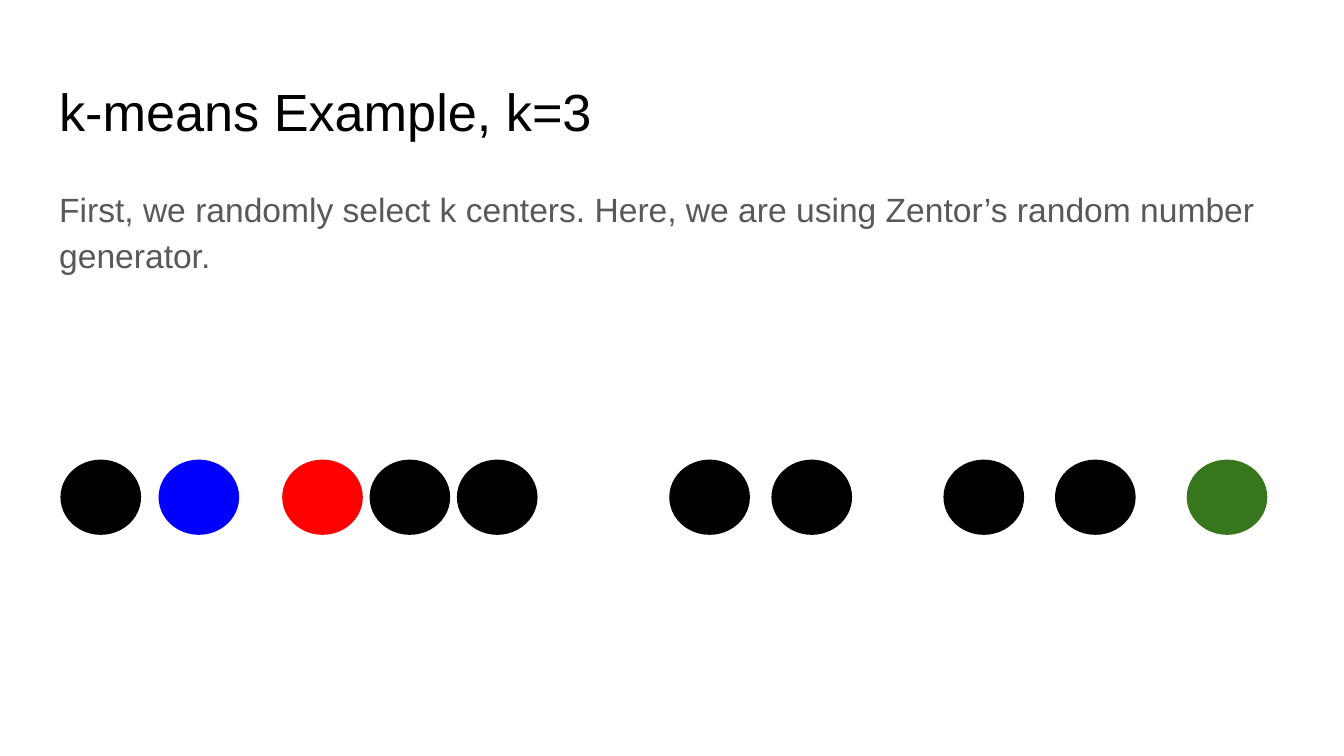
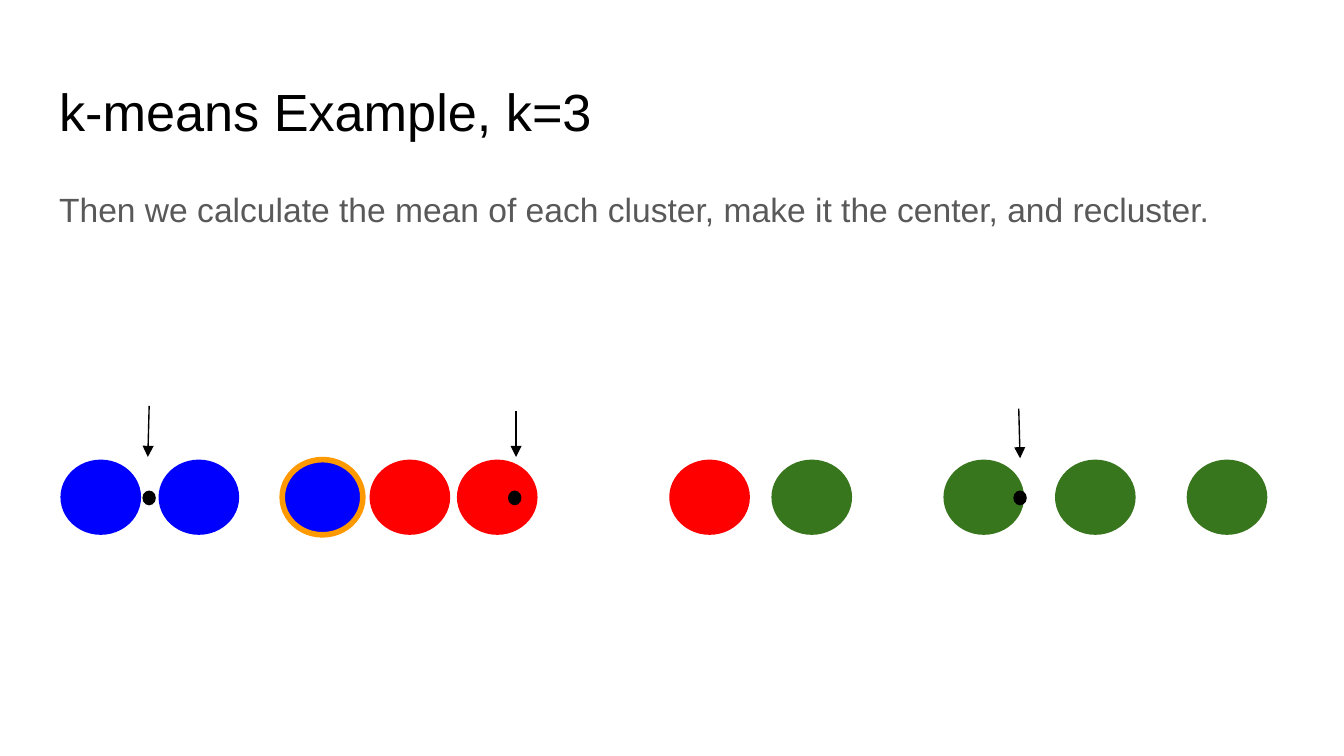
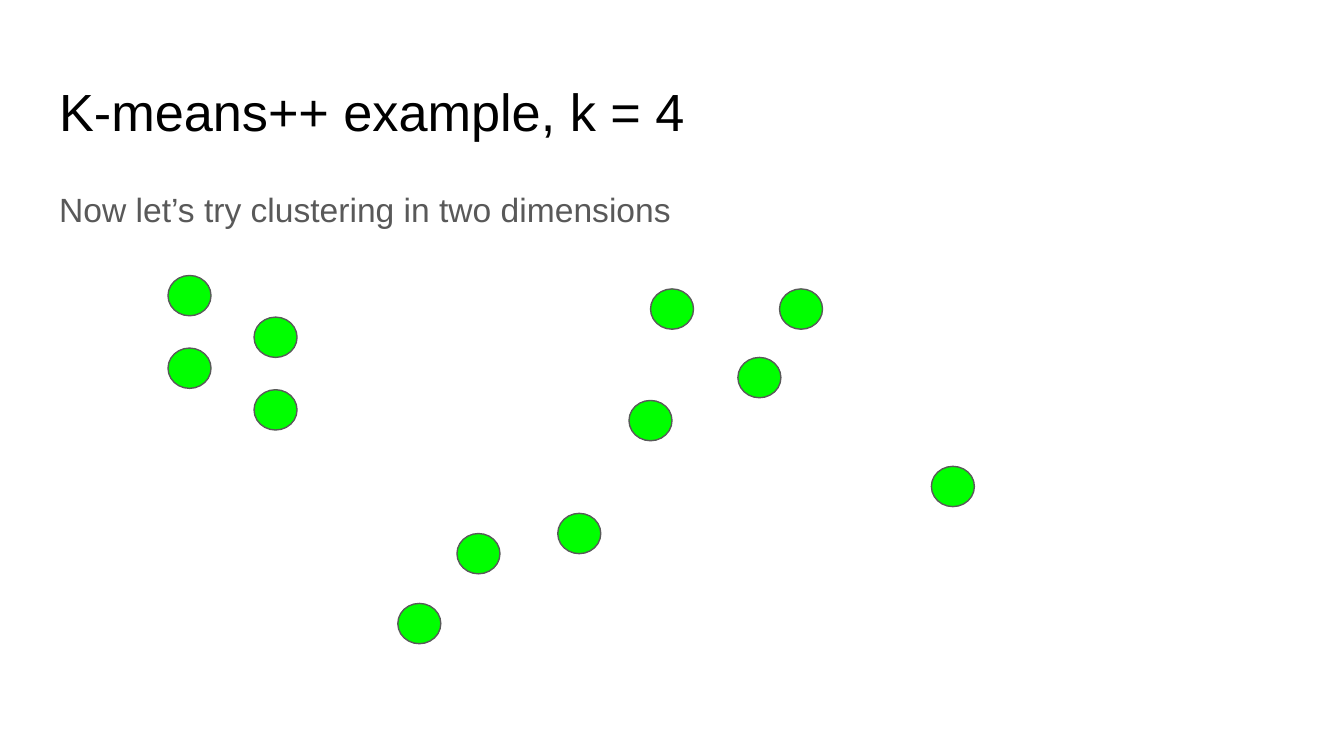
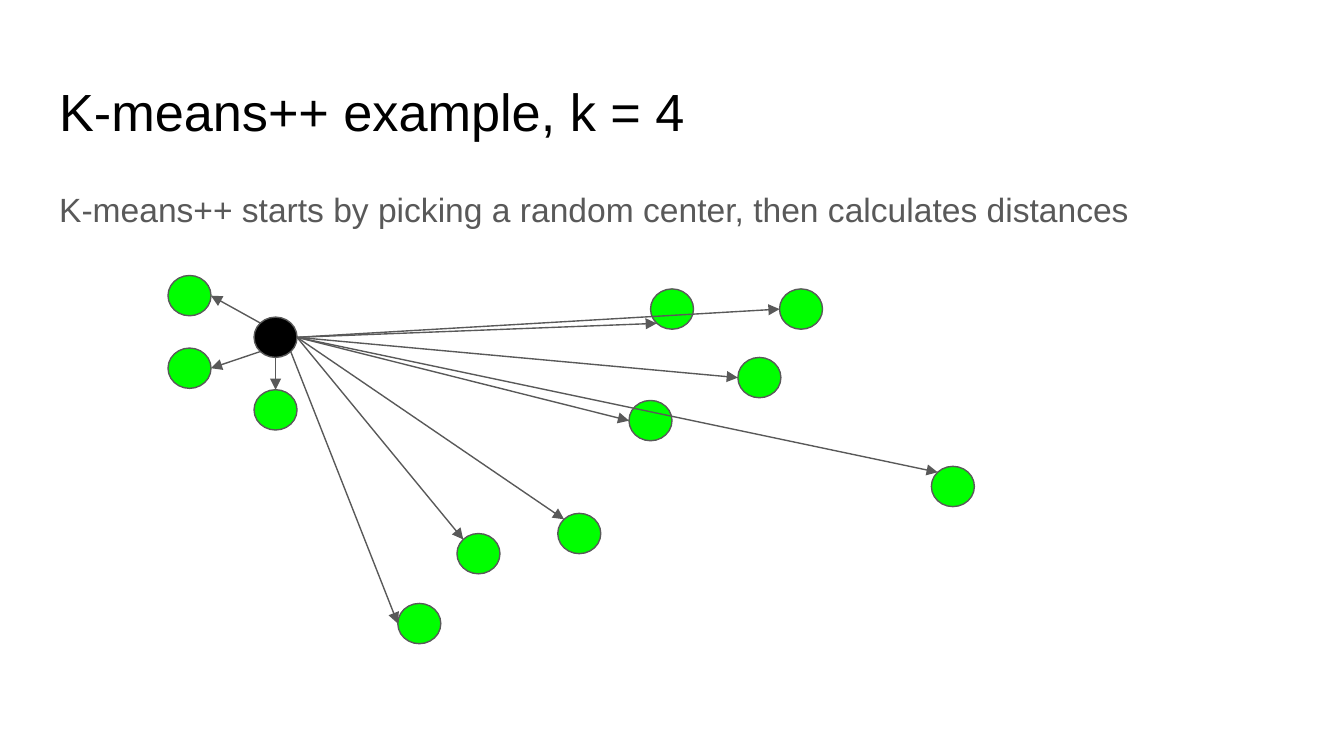
from dataclasses import dataclass
from math import cos, radians, sin
from typing import Any, NamedTuple

from lxml import etree
from pptx import Presentation
from pptx.dml.color import RGBColor
from pptx.enum.shapes import MSO_CONNECTOR, MSO_SHAPE
from pptx.enum.text import MSO_ANCHOR, MSO_AUTO_SIZE, PP_ALIGN
from pptx.oxml.ns import qn
from pptx.util import Emu, Inches, Pt

OVAL = MSO_SHAPE.OVAL
STRAIGHT = MSO_CONNECTOR.STRAIGHT
LEFT = PP_ALIGN.LEFT
TOP = MSO_ANCHOR.TOP
FIXED_SIZE = MSO_AUTO_SIZE.NONE

COLUMNS, ROWS = 100, 56.25
UNIT = Inches(10) / COLUMNS
TITLE_AND_CONTENT = 1


@dataclass(frozen=True)
class Theme:
    font: str = "Arial"
    title_size: float = 28
    body_size: float = 18
    black: str = "000000"
    gray: str = "595959"
    blue: str = "0000FF"
    red: str = "FF0000"
    green: str = "38761D"
    lime: str = "00FF00"
    orange: str = "FF9900"
    thin: float = 0.75
    thick: float = 3


THEME = Theme()


class Spot(NamedTuple):
    column: float
    row: float


class Area(NamedTuple):
    column: float
    row: float
    width: float
    height: float

    def edge(self, angle: float) -> Spot:
        turn = radians(angle)
        return Spot(self.column + self.width / 2 * (1 + cos(turn)),
                    self.row + self.height / 2 * (1 + sin(turn)))


class Outline(NamedTuple):
    color: str
    width: float


class Arrow(NamedTuple):
    start: Spot
    end: Spot


class Distance(NamedTuple):
    start_angle: float
    target: int
    end_angle: float


TITLE_AREA = Area(3.4, 4.9, 93.2, 6.3)
BODY_AREA = Area(3.4, 12.6, 93.2, 37.4)

ROW_COLUMNS = (4.5, 11.8, 21, 27.5, 34, 49.8, 57.4, 70.2, 78.5, 88.3)
ROW_POINTS = [Area(column, 34.2, 6, 5.6) for column in ROW_COLUMNS]
RANDOM_CENTERS = {1: THEME.blue, 2: THEME.red, 9: THEME.green}
CLUSTERS = [THEME.blue] * 3 + [THEME.red] * 3 + [THEME.green] * 4
MOVED_POINT = 2
MEANS = [Area(column, 36.5, 1, 1.1) for column in (10.6, 37.8, 75.4)]
MEAN_ARROWS = (
    Arrow(Spot(11.1, 30.2), Spot(11, 34)),
    Arrow(Spot(38.4, 30.6), Spot(38.4, 34)),
    Arrow(Spot(75.8, 30.4), Spot(75.9, 34.1)),
)

PLANE_POINTS = [Area(column, row, 3.2, 3) for column, row in (
    (12.5, 20.5), (12.5, 25.9), (18.9, 23.6), (18.9, 29),
    (48.4, 21.5), (46.8, 29.8), (54.9, 26.6), (58, 21.5),
    (34, 39.7), (41.5, 38.2), (29.6, 44.9), (69.3, 34.7),
)]
FIRST_CENTER = 2
EAST, SOUTHEAST, SOUTH, SOUTHWEST = 0, 45, 90, 135
WEST, NORTHWEST, NORTH = 180, 225, 270
DISTANCES = (
    Distance(NORTHWEST, 0, EAST),
    Distance(SOUTHWEST, 1, EAST),
    Distance(SOUTH, 3, NORTH),
    Distance(SOUTHEAST, 10, WEST),
    Distance(EAST, 8, NORTHWEST),
    Distance(EAST, 9, NORTHWEST),
    Distance(EAST, 5, WEST),
    Distance(EAST, 11, NORTHWEST),
    Distance(EAST, 4, SOUTHWEST),
    Distance(EAST, 7, WEST),
    Distance(EAST, 6, WEST),
)

FRAME_FORMAT = {
    "word_wrap": True, "auto_size": FIXED_SIZE, "vertical_anchor": TOP,
    **{f"margin_{side}": Inches(0.1) for side in ("left", "top", "right", "bottom")},
}
TITLE_PARAGRAPH = {"alignment": LEFT}
BODY_PARAGRAPH = {"alignment": LEFT, "line_spacing": 1.15,
                  "space_before": Pt(0), "space_after": Pt(16)}


def grid(units: float) -> Emu:
    return Emu(round(units * UNIT))


def apply_format(target: Any, values: dict[str, Any]) -> None:
    for attribute, value in values.items():
        setattr(target, attribute, value)


def place_on_layout(layout: Any) -> None:
    for index, area in enumerate((TITLE_AREA, BODY_AREA)):
        apply_format(layout.placeholders[index], {
            "left": grid(area.column), "top": grid(area.row),
            "width": grid(area.width), "height": grid(area.height),
        })


def write(placeholder: Any, wording: str, paragraph_format: dict[str, Any],
          size: float, color: str) -> Any:
    frame = placeholder.text_frame
    frame.text = wording
    apply_format(frame, FRAME_FORMAT)
    paragraph = frame.paragraphs[0]
    apply_format(paragraph, paragraph_format)
    font = paragraph.runs[0].font
    apply_format(font, {"name": THEME.font, "size": Pt(size), "bold": False})
    font.color.rgb = RGBColor.from_string(color)
    return paragraph


def remove_bullet(paragraph: Any) -> None:
    properties = paragraph._p.get_or_add_pPr()
    properties.set("marL", "0")
    properties.set("indent", "0")
    etree.SubElement(properties, qn("a:buNone"))


def add_step(deck: Any, heading: str, explanation: str) -> Any:
    slide = deck.slides.add_slide(deck.slide_layouts[TITLE_AND_CONTENT])
    write(slide.shapes.title, heading, TITLE_PARAGRAPH, THEME.title_size, THEME.black)
    remove_bullet(write(slide.placeholders[1], explanation, BODY_PARAGRAPH,
                        THEME.body_size, THEME.gray))
    return slide


def draw_outline(line: Any, outline: Outline) -> None:
    line.color.rgb = RGBColor.from_string(outline.color)
    line.width = Pt(outline.width)


def draw_point(slide: Any, area: Area, color: str, outline: Outline | None = None) -> None:
    point = slide.shapes.add_shape(OVAL, *map(grid, area))
    point.shadow.inherit = False
    point.fill.solid()
    point.fill.fore_color.rgb = RGBColor.from_string(color)
    if outline:
        draw_outline(point.line, outline)
    else:
        point.line.fill.background()


def draw_arrow(slide: Any, arrow: Arrow, color: str) -> None:
    connector = slide.shapes.add_connector(STRAIGHT, *map(grid, arrow.start + arrow.end))
    draw_outline(connector.line, Outline(color, THEME.thin))
    etree.SubElement(connector.line._get_or_add_ln(), qn("a:tailEnd"), type="triangle")
    etree.SubElement(connector._element.spPr, qn("a:effectLst"))


def draw_plane(slide: Any, center: int | None = None) -> None:
    for index, area in enumerate(PLANE_POINTS):
        color = THEME.black if index == center else THEME.lime
        draw_point(slide, area, color, Outline(THEME.gray, THEME.thin))


def show_random_centers(deck: Any) -> None:
    slide = add_step(deck, "k-means Example, k=3",
                     "First, we randomly select k centers. Here, we are using "
                     "Zentor’s random number generator.")
    for index, area in enumerate(ROW_POINTS):
        draw_point(slide, area, RANDOM_CENTERS.get(index, THEME.black))


def show_means(deck: Any) -> None:
    slide = add_step(deck, "k-means Example, k=3",
                     "Then we calculate the mean of each cluster, make it the center, "
                     "and recluster.")
    for index, (area, color) in enumerate(zip(ROW_POINTS, CLUSTERS)):
        highlight = Outline(THEME.orange, THEME.thick) if index == MOVED_POINT else None
        draw_point(slide, area, color, highlight)
    for mean, arrow in zip(MEANS, MEAN_ARROWS):
        draw_point(slide, mean, THEME.black)
        draw_arrow(slide, arrow, THEME.black)


def show_plane(deck: Any) -> None:
    slide = add_step(deck, "K-means++ example, k = 4",
                     "Now let’s try clustering in two dimensions")
    draw_plane(slide)


def show_distances(deck: Any) -> None:
    slide = add_step(deck, "K-means++ example, k = 4",
                     "K-means++ starts by picking a random center, then calculates distances")
    draw_plane(slide, FIRST_CENTER)
    center = PLANE_POINTS[FIRST_CENTER]
    for distance in DISTANCES:
        target = PLANE_POINTS[distance.target]
        draw_arrow(slide, Arrow(center.edge(distance.start_angle),
                                target.edge(distance.end_angle)), THEME.gray)


def main() -> None:
    deck = Presentation()
    deck.slide_width, deck.slide_height = grid(COLUMNS), grid(ROWS)
    place_on_layout(deck.slide_layouts[TITLE_AND_CONTENT])
    for show in (show_random_centers, show_means, show_plane, show_distances):
        show(deck)
    deck.save("out.pptx")


if __name__ == "__main__":
    main()
